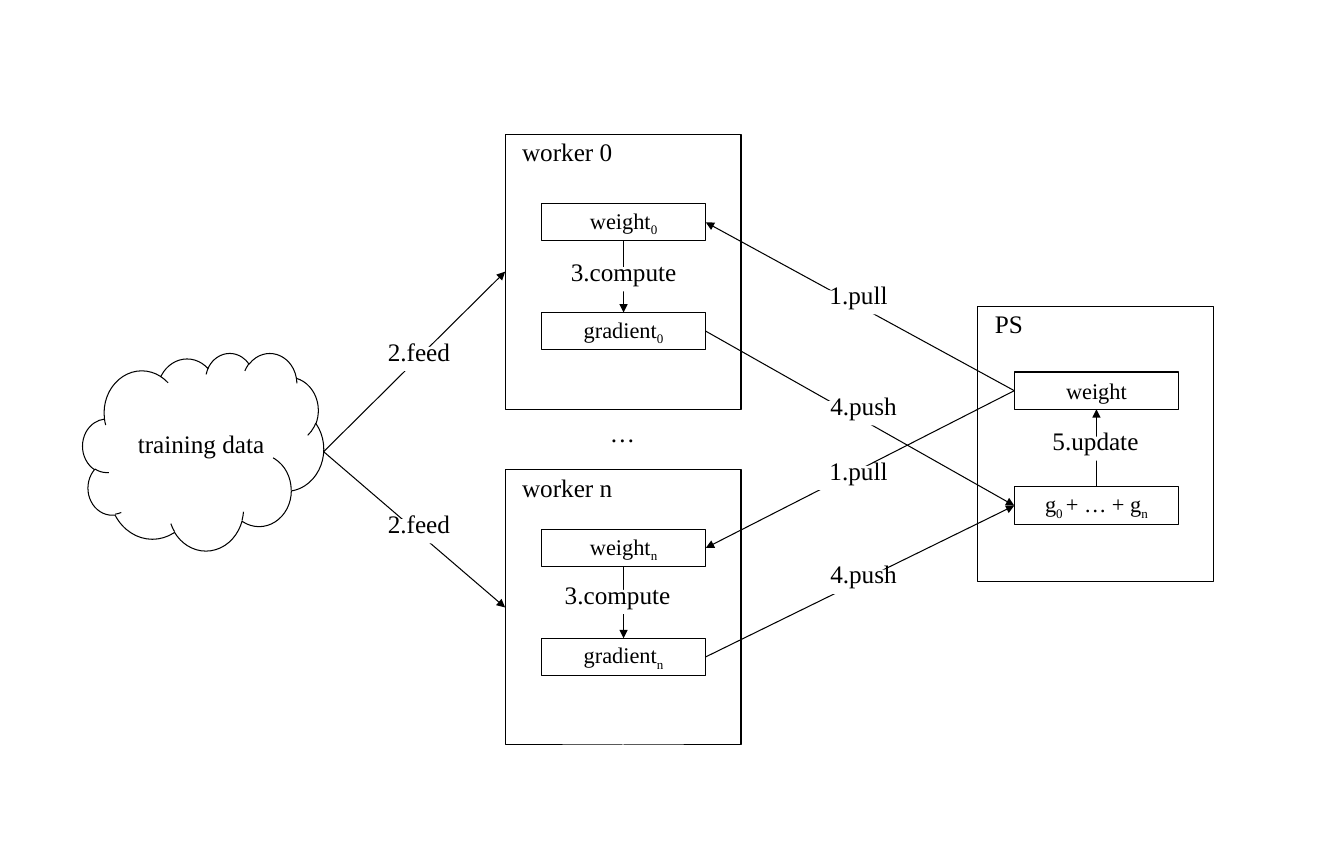
from lxml import etree
from pptx import Presentation
from pptx.dml.color import RGBColor
from pptx.enum import shapes, text
from pptx.oxml import ns
from pptx.util import Inches, Pt

COLORS = {"ink": "000000", "paper": "FFFFFF"}
FONT = "Times New Roman"
LABEL = {"size": 18, "spacing": 10.4}
CELL = {"size": 16, "spacing": None}
LABEL_HEIGHT = 0.24
FRAME_SIZE = (2.34, 2.73)
CELL_SIZE = (1.63, 0.37)
CELL_INDENT = 0.36
TITLE_OFFSET = (0.07, 0.13)
TOP, LEFT, BOTTOM, RIGHT = range(4)

# name: (left, top, title, cells); a cell is (name, offset from frame top, runs),
# and each run is (words, is subscript)
FRAMES = {
    "worker 0": (5.01, 1.33, [
        ("weight 0", 0.69, [("weight", False), ("0", True)]),
        ("gradient 0", 1.77, [("gradient", False), ("0", True)]),
    ]),
    "worker n": (5.01, 4.66, [
        ("weight n", 0.59, [("weight", False), ("n", True)]),
        ("gradient n", 1.67, [("gradient", False), ("n", True)]),
    ]),
    "PS": (9.7, 3.04, [
        ("weight", 0.65, [("weight", False)]),
        ("sum", 1.79, [("g", False), ("0 ", True), ("+ … + g", False), ("n", True)]),
    ]),
}
CLOUD = (0.82, 3.5, 2.39, 1.96)
CLOUD_LABEL = ("training data", 0.91, 4.36, 2.17)
GAP_LABEL = ("…", 5.28, 4.25, 1.79)
FEED_START = (3.21, 4.48)
FEED_TARGETS = ["worker 0", "worker n"]

# (source, side, target, side)
ARROWS = [
    ("weight 0", BOTTOM, "gradient 0", TOP),
    ("weight n", BOTTOM, "gradient n", TOP),
    ("sum", TOP, "weight", BOTTOM),
    ("weight", LEFT, "weight 0", RIGHT),
    ("weight", LEFT, "weight n", RIGHT),
    ("gradient 0", RIGHT, "sum", LEFT),
    ("gradient n", RIGHT, "sum", LEFT),
]
# (words, left, top, width)
STEP_LABELS = [
    ("1.pull", 8.01, 2.88, 1.01),
    ("1.pull", 8.01, 4.62, 1.01),
    ("2.feed", 3.54, 3.44, 1.23),
    ("2.feed", 3.54, 5.15, 1.23),
    ("3.compute", 5.29, 2.65, 1.79),
    ("3.compute", 5.23, 5.85, 1.79),
    ("4.push", 7.95, 3.98, 1.23),
    ("4.push", 7.95, 5.65, 1.23),
    ("5.update", 9.97, 4.33, 1.79),
]


def color(name):
    return RGBColor.from_string(COLORS[name])


def write(box, runs, style, align):
    frame = box.text_frame
    frame.word_wrap = True
    frame.vertical_anchor = text.MSO_ANCHOR.MIDDLE
    para = frame.paragraphs[0]
    para.alignment = align
    if style["spacing"]:
        para.line_spacing = Pt(style["spacing"])
    for words, is_subscript in runs:
        span = para.add_run()
        span.text = words
        font_values = {"name": FONT, "size": Pt(style["size"])}
        for attribute, value in font_values.items():
            setattr(span.font, attribute, value)
        span.font.color.rgb = color("ink")
        if is_subscript:
            span.font._element.set("baseline", "-25000")


def add_outline(page, kind, left, top, width, height):
    box = page.shapes.add_shape(kind, *map(Inches, (left, top, width, height)))
    box.shadow.inherit = False
    box.fill.background()
    box.line.color.rgb = color("ink")
    box.line.width = Pt(0.75)
    return box


def add_text(page, words, left, top, width, align=text.PP_ALIGN.CENTER):
    box = page.shapes.add_textbox(*map(Inches, (left, top, width, LABEL_HEIGHT)))
    write(box, [(words, False)], LABEL, align)
    return box


def add_arrow(page, start=(0, 0)):
    """Add an arrow from start; its ends are joined to boxes by the caller."""
    x, y = map(Inches, start)
    arrow = page.shapes.add_connector(shapes.MSO_CONNECTOR.STRAIGHT, x, y, x, y)
    arrow.line.color.rgb = color("ink")
    arrow.line.width = Pt(0.75)
    etree.SubElement(arrow.line._get_or_add_ln(), ns.qn("a:tailEnd"), type="triangle")
    etree.SubElement(arrow._element.spPr, ns.qn("a:effectLst"))
    return arrow


def add_frame(page, title, left, top, cells):
    """Draw a titled frame with its cells and return the boxes by name."""
    rectangle = shapes.MSO_SHAPE.RECTANGLE
    boxes = {title: add_outline(page, rectangle, left, top, *FRAME_SIZE)}
    title_x, title_y = TITLE_OFFSET
    add_text(page, title, left + title_x, top + title_y, 2.17, text.PP_ALIGN.LEFT)
    for name, offset, runs in cells:
        cell = add_outline(page, rectangle, left + CELL_INDENT, top + offset, *CELL_SIZE)
        write(cell, runs, CELL, text.PP_ALIGN.CENTER)
        boxes[name] = cell
    return boxes


def main():
    deck = Presentation()
    deck.slide_width, deck.slide_height = Inches(13.33), Inches(8.5)
    page = deck.slides.add_slide(deck.slide_layouts[6])

    boxes = {}
    for title, (left, top, cells) in FRAMES.items():
        boxes.update(add_frame(page, title, left, top, cells))
    add_outline(page, shapes.MSO_SHAPE.CLOUD, *CLOUD)

    for source, source_side, target, target_side in ARROWS:
        arrow = add_arrow(page)
        arrow.begin_connect(boxes[source], source_side)
        arrow.end_connect(boxes[target], target_side)
    for target in FEED_TARGETS:
        add_arrow(page, FEED_START).end_connect(boxes[target], LEFT)

    for label in (CLOUD_LABEL, GAP_LABEL):
        add_text(page, *label)
    for label in STEP_LABELS:
        box = add_text(page, *label)
        box.fill.solid()
        box.fill.fore_color.rgb = color("paper")

    deck.save("out.pptx")


if __name__ == "__main__":
    main()
